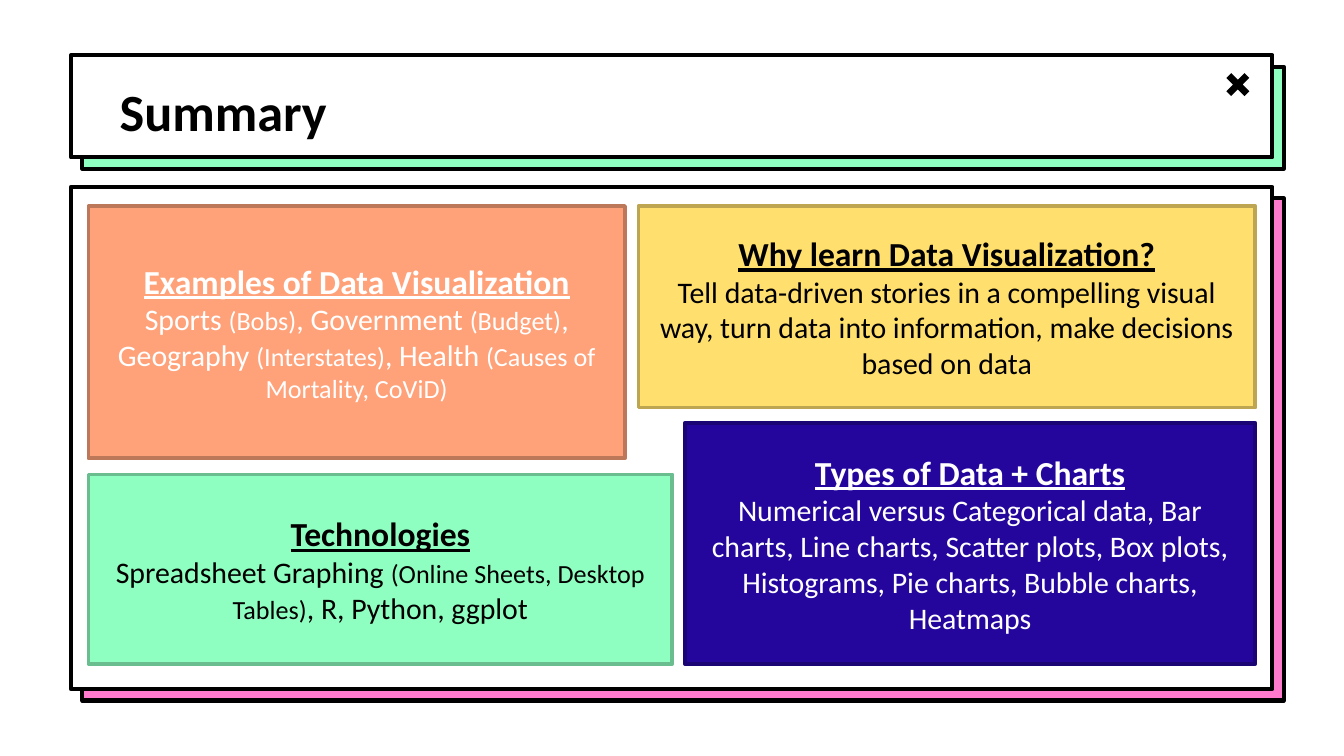
from pptx import Presentation
from pptx.dml.color import RGBColor
from pptx.enum.shapes import MSO_SHAPE as Preset
from pptx.enum.text import MSO_ANCHOR as Anchor, PP_ALIGN as Align
from pptx.util import Pt

FONT = "Calibri"
COLORS = {
    "black": "000000",
    "white": "FFFFFF",
    "mint": "8FFFC1",
    "mint_edge": "6ABD8F",
    "pink": "FF7ACD",
    "orange": "FFA27A",
    "orange_edge": "BD785A",
    "yellow": "FFDF6D",
    "yellow_edge": "BDA551",
    "indigo": "24069D",
    "indigo_edge": "1B0474",
}
HEADING, BODY, DETAIL = 18, 16, 14
PANEL_LEFT, PANEL_WIDTH, PANEL_OFFSET = 38, 643.7, 6.1

TOPICS = [
    ((47.4, 110.4, 287.4, 135.2), "orange", "white", "Examples of Data Visualization",
     [("Sports ", BODY), ("(Bobs)", DETAIL), (", Government ", BODY), ("(Budget)", DETAIL),
      (", Geography ", BODY), ("(Interstates)", DETAIL), (", Health ", BODY),
      ("(Causes of Mortality, CoViD)", DETAIL)]),
    ((342, 110.4, 330.5, 108), "yellow", "black", "Why learn Data Visualization?",
     [("Tell data-driven stories in a compelling visual way, turn data into information, "
       "make decisions based on data", BODY)]),
    ((47.4, 254.2, 312.8, 101.6), "mint", "black", "Technologies",
     [("Spreadsheet Graphing ", BODY), ("(Online Sheets, Desktop Tables)", DETAIL),
      (", R, Python, ggplot", BODY)]),
    ((367, 226.5, 305.5, 129.3), "indigo", "white", "Types of Data + Charts",
     [("Numerical versus Categorical data, Bar charts, Line charts, Scatter plots, Box plots, "
       "Histograms, Pie charts, Bubble charts, Heatmaps", BODY)]),
]


def rgb(name):
    return RGBColor.from_string(COLORS[name])


def add_block(slide, bounds, fill, edge=None, edge_width=2.25, preset=Preset.RECTANGLE):
    block = slide.shapes.add_shape(preset, *map(Pt, bounds))
    block.shadow.inherit = False
    block.fill.solid()
    block.fill.fore_color.rgb = rgb(fill)
    if edge:
        block.line.color.rgb = rgb(edge)
        block.line.width = Pt(edge_width)
    else:
        block.line.fill.background()
    return block


def add_panel(slide, top, height, backing):
    for offset, fill in ((PANEL_OFFSET, backing), (0, "white")):
        bounds = (PANEL_LEFT + offset, top + offset, PANEL_WIDTH, height)
        add_block(slide, bounds, fill, "black")


def add_close_mark(slide):
    mark = add_block(slide, (653.8, 36, 18.7, 18.7), "black", preset=Preset.MATH_MULTIPLY)
    mark.adjustments[0] = 0.193


def style_font(font, color, size=None, heading=False):
    font.name = FONT
    font.color.rgb = rgb(color)
    font.bold = heading
    if size:
        font.size = Pt(size)


def place_title(slide, text):
    title = slide.shapes.title
    title.left, title.top, title.width, title.height = map(Pt, (56.9, 35.3, 607, 45.4))
    title.element.getparent().append(title.element)
    frame = title.text_frame
    frame.margin_left = frame.margin_right = frame.margin_top = frame.margin_bottom = Pt(7.2)
    frame.vertical_anchor = Anchor.TOP
    frame.word_wrap = True
    frame.text = text
    paragraph = frame.paragraphs[0]
    paragraph.alignment = Align.LEFT
    style_font(paragraph.font, "black", 28, heading=True)


def add_topic(slide, bounds, fill, ink, heading, details):
    frame = add_block(slide, bounds, fill, f"{fill}_edge", 2).text_frame
    frame.word_wrap = True
    frame.vertical_anchor = Anchor.MIDDLE
    frame.text = heading
    heading_line = frame.paragraphs[0]
    heading_line.alignment = Align.CENTER
    style_font(heading_line.font, ink, HEADING, heading=True)
    heading_line.font.underline = True

    body = frame.add_paragraph()
    body.alignment = Align.CENTER
    style_font(body.font, ink)
    for text, size in details:
        run = body.add_run()
        run.text = text
        run.font.size = Pt(size)


def main():
    deck = Presentation()
    deck.slide_width, deck.slide_height = Pt(720), Pt(405)
    slide = deck.slides.add_slide(deck.slide_layouts[5])
    add_panel(slide, 29.7, 54.6, "mint")
    add_close_mark(slide)
    add_panel(slide, 100.2, 269, "pink")
    place_title(slide, "Summary")
    for topic in TOPICS:
        add_topic(slide, *topic)
    deck.save("out.pptx")


if __name__ == "__main__":
    main()
